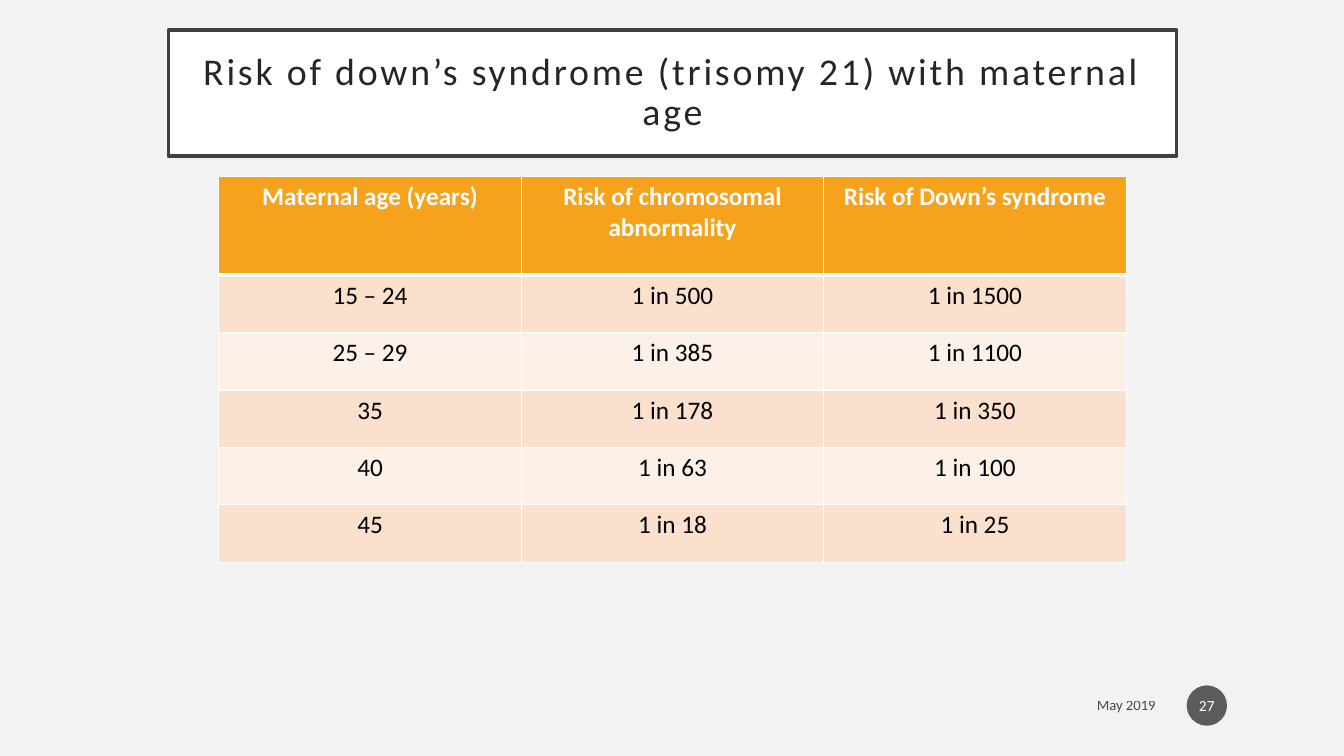
from dataclasses import dataclass
from typing import Any, NamedTuple

from lxml.etree import SubElement
from pptx import Presentation
from pptx.dml.color import RGBColor
from pptx.enum.shapes import MSO_SHAPE
from pptx.enum.text import MSO_ANCHOR, PP_ALIGN
from pptx.oxml import parse_xml
from pptx.oxml.ns import nsdecls, qn
from pptx.util import Emu, Pt

EMU_PER_PX = 9144


@dataclass(frozen=True)
class Theme:
    font: str = "Calibri"
    background: str = "F2F2F2"
    white: str = "FFFFFF"
    black: str = "000000"
    title_line: str = "404040"
    title_text: str = "262626"
    badge: str = "1D1D1D"
    header: str = "F6A21D"
    bands: tuple[str, str] = ("FBE0CD", "FDF0E8")
    title_size: float = 27
    table_size: float = 18
    date_size: float = 10.5
    number_size: float = 11
    footer_opacity: int = 70


class Box(NamedTuple):
    left: int
    top: int
    width: int
    height: int


@dataclass(frozen=True)
class Label:
    text: str
    size: float
    color: str
    align: PP_ALIGN = PP_ALIGN.CENTER
    bold: bool = False


THEME = Theme()
TITLE_BOX = Box(167, 30, 1000, 125)
TABLE_BOX = Box(217, 175, 900, 383)
DATE_BOX = Box(855, 682, 301, 35)
NUMBER_BOX = Box(1177, 680, 40, 40)
HEADER_HEIGHT = 98
RISKS = [
    ("Maternal age (years)", "Risk of chromosomal abnormality", "Risk of Down’s syndrome"),
    ("15 – 24", "1 in 500", "1 in 1500"),
    ("25 – 29", "1 in 385", "1 in 1100"),
    ("35", "1 in 178", "1 in 350"),
    ("40", "1 in 63", "1 in 100"),
    ("45", "1 in 18", "1 in 25"),
]


def px(length: int) -> Emu:
    return Emu(length * EMU_PER_PX)


def place(box: Box) -> list[Emu]:
    return [px(length) for length in box]


def apply(target: Any, values: dict[str, Any]) -> None:
    for name, value in values.items():
        setattr(target, name, value)


def paint(fill: Any, color: str) -> None:
    fill.solid()
    fill.fore_color.rgb = RGBColor.from_string(color)


def set_opacity(properties: Any, percent: int) -> None:
    """Make the solid fill inside an spPr or rPr element translucent."""
    color = properties.find(f"{qn('a:solidFill')}/{qn('a:srgbClr')}")
    SubElement(color, qn("a:alpha")).set("val", str(percent * 1000))


def write(tf: Any, label: Label) -> Any:
    """Fill a text frame with one label and return its run."""
    p = tf.paragraphs[0]
    p.alignment = label.align
    r = p.add_run()
    r.text = label.text
    apply(r.font, {"name": THEME.font, "size": Pt(label.size), "bold": label.bold})
    paint(r.font.fill, label.color)
    return r


def add_panel(slide: Any, kind: MSO_SHAPE, box: Box, color: str,
              inset_x: int, inset_y: int) -> Any:
    sp = slide.shapes.add_shape(kind, *place(box))
    sp.shadow.inherit = False
    paint(sp.fill, color)
    apply(sp.text_frame, {
        "word_wrap": True, "vertical_anchor": MSO_ANCHOR.MIDDLE,
        "margin_left": px(inset_x), "margin_right": px(inset_x),
        "margin_top": px(inset_y), "margin_bottom": px(inset_y),
    })
    return sp


def add_title(slide: Any) -> None:
    sp = add_panel(slide, MSO_SHAPE.RECTANGLE, TITLE_BOX, THEME.white, 20, 20)
    paint(sp.line.fill, THEME.title_line)
    sp.line.width = Pt(2.5)
    r = write(sp.text_frame, Label("Risk of down’s syndrome (trisomy 21) with maternal age",
                                   THEME.title_size, THEME.title_text))
    r.font._element.set("spc", "200")
    sp.text_frame.paragraphs[0].line_spacing = 0.9


def set_borders(cell: Any, widths: dict[str, int]) -> None:
    """Add white borders ahead of the cell fill, as the schema orders them."""
    properties = cell._tc.get_or_add_tcPr()
    for index, (side, width) in enumerate(widths.items()):
        properties.insert(index, parse_xml(
            f'<a:ln{side} {nsdecls("a")} w="{Pt(width)}"><a:solidFill>'
            f'<a:srgbClr val="{THEME.white}"/></a:solidFill></a:ln{side}>'))


def add_risk_table(slide: Any) -> None:
    rows, columns = len(RISKS), len(RISKS[0])
    table = slide.shapes.add_table(rows, columns, *place(TABLE_BOX)).table
    table.horz_banding = False
    for column in table.columns:
        column.width = px(TABLE_BOX.width // columns)
    body_height = (TABLE_BOX.height - HEADER_HEIGHT) // (rows - 1)
    for i, values in enumerate(RISKS):
        is_header = i == 0
        table.rows[i].height = px(HEADER_HEIGHT if is_header else body_height)
        fill = THEME.header if is_header else THEME.bands[(i - 1) % 2]
        color = THEME.white if is_header else THEME.black
        borders = {"L": 1, "R": 1, "T": 3 if i == 1 else 1, "B": 3 if is_header else 1}
        for j, value in enumerate(values):
            cell = table.cell(i, j)
            paint(cell.fill, fill)
            set_borders(cell, borders)
            write(cell.text_frame, Label(value, THEME.table_size, color, bold=is_header))


def add_footer(slide: Any) -> None:
    tf = slide.shapes.add_textbox(*place(DATE_BOX)).text_frame
    apply(tf, {"word_wrap": True, "vertical_anchor": MSO_ANCHOR.MIDDLE})
    r = write(tf, Label("May 2019", THEME.date_size, THEME.black, PP_ALIGN.RIGHT))
    set_opacity(r.font._element, THEME.footer_opacity)

    sp = add_panel(slide, MSO_SHAPE.OVAL, NUMBER_BOX, THEME.badge, 2, 5)
    sp.line.fill.background()
    set_opacity(sp._element.spPr, THEME.footer_opacity)
    write(sp.text_frame, Label("27", THEME.number_size, THEME.white))


def main() -> None:
    prs = Presentation()
    apply(prs, {"slide_width": px(1333), "slide_height": px(750)})
    slide = prs.slides.add_slide(prs.slide_layouts[6])
    paint(slide.background.fill, THEME.background)
    add_title(slide)
    add_risk_table(slide)
    add_footer(slide)
    prs.save("out.pptx")


if __name__ == "__main__":
    main()
